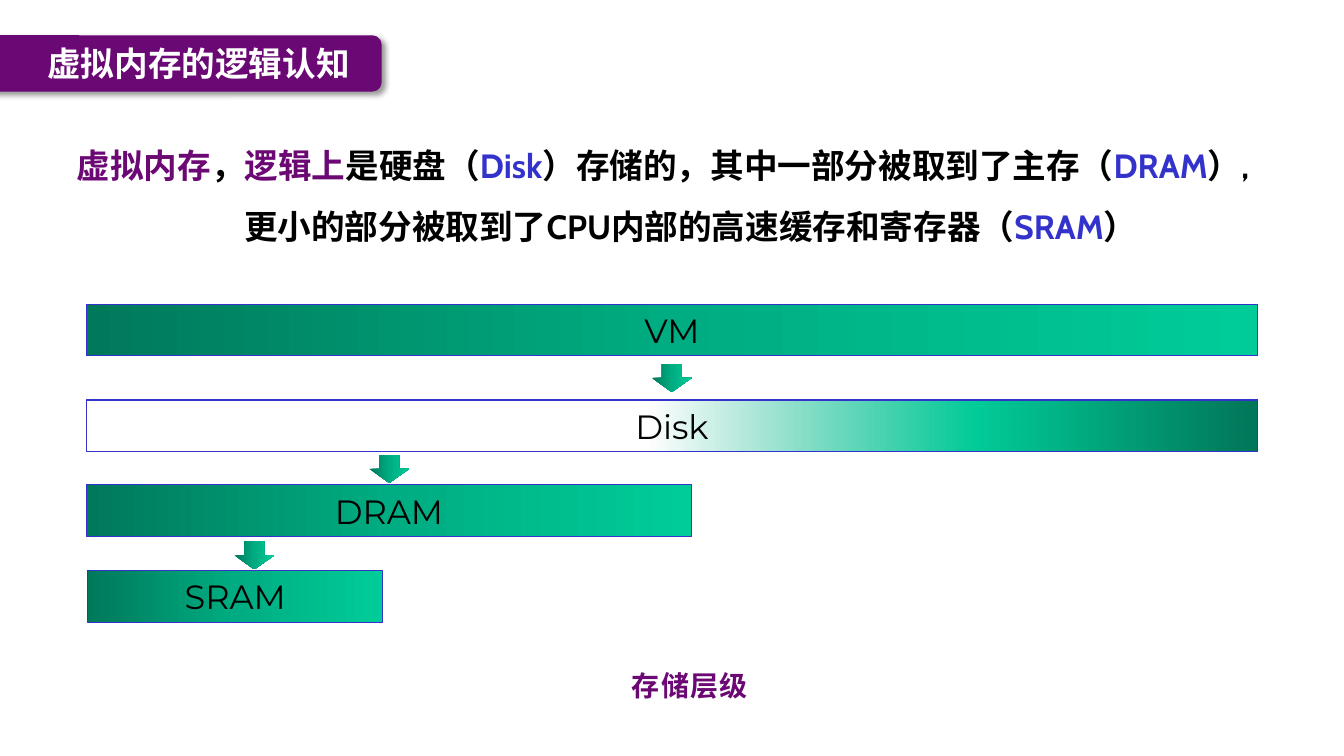
from lxml.etree import SubElement
from pptx import Presentation
from pptx.dml.color import RGBColor
from pptx.enum.shapes import MSO_SHAPE as SHAPE
from pptx.enum.text import MSO_ANCHOR as ANCHOR, MSO_AUTO_SIZE as AUTO, PP_ALIGN as ALIGN
from pptx.oxml.ns import qn
from pptx.util import Cm, Pt

PURPLE = RGBColor(0x6B, 0x08, 0x74)
BANNER = RGBColor(0x6A, 0x08, 0x74)
BLUE = RGBColor(0x33, 0x33, 0xCC)
BLACK = RGBColor(0, 0, 0)
WHITE = RGBColor(0xFF, 0xFF, 0xFF)
DARK_GREEN = RGBColor(0x00, 0x79, 0x5B)
GREEN = RGBColor(0x00, 0xAC, 0x81)
LIGHT_GREEN = RGBColor(0x00, 0xCC, 0x99)

# Gradient stops: position %, colour, opacity %
FULL = [(0, DARK_GREEN, 100), (50, GREEN, 100), (100, LIGHT_GREEN, 100)]
FADED = [(48, GREEN, 0), (76, LIGHT_GREEN, 100), (99, DARK_GREEN, 100)]

CJK = "Noto Sans CJK SC"
BAR_H, ARROW_W, ARROW_H = 1.3, 1.0, 0.71

# Name, left, top, width, gradient
BARS = [
    ("VM", 2.18, 7.67, 29.51, FULL),
    ("Disk", 2.18, 10.08, 29.51, FADED),
    ("DRAM", 2.18, 12.22, 15.24, FULL),
    ("SRAM", 2.21, 14.38, 7.44, FULL),
]
# Centre, top
ARROWS = [(16.93, 9.17), (9.81, 11.46), (6.41, 13.64)]

SENTENCE = [
    ("虚拟内存", PURPLE), ("，", BLACK), ("逻辑上", PURPLE), ("是硬盘（", BLACK),
    ("Disk", BLUE), ("）存储的，其中一部分被取到了主存（", BLACK), ("DRAM", BLUE),
    ("）,更小的部分被取到了CPU内部的高速缓存和寄存器（", BLACK),
    ("SRAM", BLUE), ("）", BLACK),
]


def add_text(p, text, *, font=CJK, size=24, color=BLACK, bold=False, spacing=0):
    r = p.add_run()
    r.text = text
    r.font.name, r.font.size, r.font.bold = font, Pt(size), bold
    r.font.color.rgb = color
    rPr = r.font._element
    SubElement(rPr, qn("a:ea")).set("typeface", CJK)
    if spacing:
        rPr.set("spc", str(spacing * 100))


class SlideBuilder:
    def __init__(self, prs):
        self.s = prs.slides.add_slide(prs.slide_layouts[1])

    def place(self, sp, left, top, width, height):
        sp.left, sp.top, sp.width, sp.height = map(Cm, (left, top, width, height))

    def shape(self, kind, left, top, width, height):
        sp = self.s.shapes.add_shape(kind, *map(Cm, (left, top, width, height)))
        sp.shadow.inherit = False
        sp.line.fill.background()
        return sp

    def gradient(self, sp, stops):
        sp.fill.gradient()
        sp.fill.gradient_angle = 0
        gs_list = sp.element.spPr.find(".//" + qn("a:gsLst"))
        gs_list.clear()
        for pos, color, opacity in stops:
            gs = SubElement(gs_list, qn("a:gs"), pos=str(pos * 1000))
            clr = SubElement(gs, qn("a:srgbClr"), val=str(color))
            if opacity < 100:
                SubElement(clr, qn("a:alpha"), val=str(opacity * 1000))

    def banner(self):
        sp = self.shape(SHAPE.ROUNDED_RECTANGLE, -0.51, 0.89, 10.13, 1.42)
        sp.fill.solid()
        sp.fill.fore_color.rgb = BANNER
        effects = sp.element.spPr.find(qn("a:effectLst"))
        shadow = SubElement(effects, qn("a:outerShdw"), blurRad=str(Pt(4)),
                            dist=str(Pt(3)), dir="2700000", algn="tl", rotWithShape="0")
        clr = SubElement(shadow, qn("a:srgbClr"), val=str(BLACK))
        SubElement(clr, qn("a:alpha"), val="40000")

    def title(self, text):
        sp = self.s.shapes.title
        self.place(sp, 0.94, 0.89, 8.31, 1.4)
        sp.element.getparent().append(sp.element)  # in front of the banner
        tf = sp.text_frame
        tf.auto_size, tf.vertical_anchor = AUTO.NONE, ANCHOR.MIDDLE
        p = tf.paragraphs[0]
        p.alignment = ALIGN.LEFT
        add_text(p, text, color=WHITE, bold=True)

    def body(self, runs):
        sp = self.s.placeholders[1]
        self.place(sp, 1.68, 3.02, 30.5, 3.91)
        tf = sp.text_frame
        tf.auto_size, tf.vertical_anchor = AUTO.NONE, ANCHOR.TOP
        p = tf.paragraphs[0]
        pPr = p._p.get_or_add_pPr()
        pPr.set("marL", str(Cm(4.22)))
        pPr.set("indent", str(Cm(-4.22)))
        SubElement(pPr, qn("a:buNone"))
        tabs = SubElement(pPr, qn("a:tabLst"))
        for pos in [0.89] + [2.36 + 2.54 * i for i in range(7)]:
            SubElement(tabs, qn("a:tab"), pos=str(Cm(pos)), algn="l")
        p.line_spacing, p.space_before = 1.5, Pt(0)
        for text, color in runs:
            add_text(p, text, font="Cabin", color=color, bold=True)

    def bar(self, name, left, top, width, stops):
        sp = self.shape(SHAPE.RECTANGLE, left, top, width, BAR_H)
        self.gradient(sp, stops)
        sp.line.color.rgb, sp.line.width = BLUE, Pt(0.75)
        tf = sp.text_frame
        tf.vertical_anchor = ANCHOR.MIDDLE
        p = tf.paragraphs[0]
        p.alignment = ALIGN.CENTER
        add_text(p, name, font="Montserrat")

    def arrow(self, centre, top):
        sp = self.shape(SHAPE.DOWN_ARROW, centre - ARROW_W / 2, top, ARROW_W, ARROW_H)
        self.gradient(sp, FULL)

    def caption(self, text):
        sp = self.s.shapes.add_textbox(Cm(15.67), Cm(16.71), Cm(3.51), Cm(1.12))
        tf = sp.text_frame
        tf.word_wrap = False
        add_text(tf.paragraphs[0], text, size=20, color=PURPLE, bold=True, spacing=1)


def main():
    prs = Presentation()
    prs.slide_width, prs.slide_height = Cm(33.87), Cm(19.05)
    b = SlideBuilder(prs)
    b.body(SENTENCE)
    b.banner()
    b.title("虚拟内存的逻辑认知")
    for bar in BARS:
        b.bar(*bar)
    for arrow in ARROWS:
        b.arrow(*arrow)
    b.caption("存储层级")
    prs.save("out.pptx")


if __name__ == "__main__":
    main()
